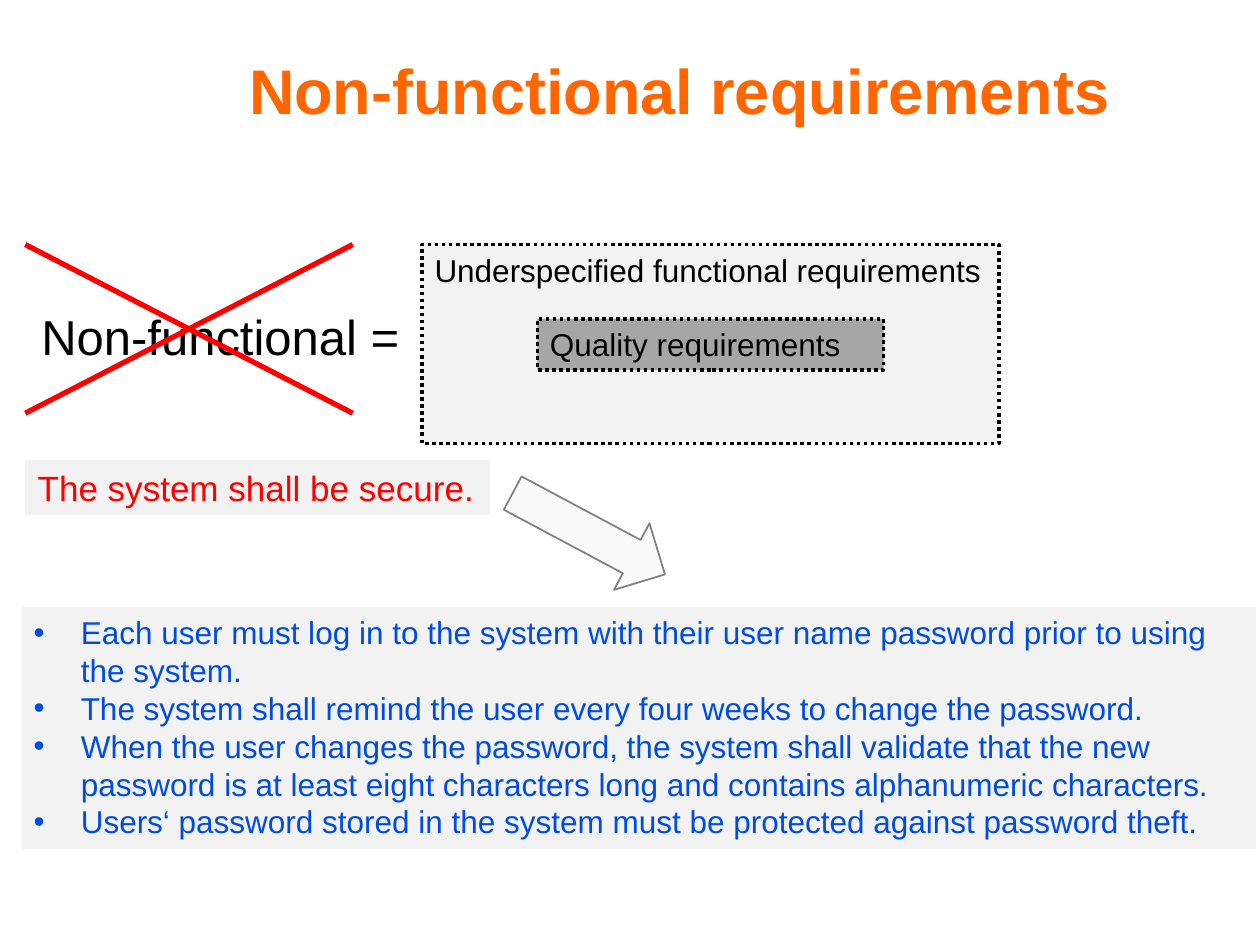
import pptx
import pptx.util
import pptx.dml.color
import pptx.enum.dml
import pptx.enum.shapes
import pptx.enum.text
import pptx.oxml.ns
from lxml import etree

Cm = pptx.util.Cm
Pt = pptx.util.Pt
qn = pptx.oxml.ns.qn
SHAPES = pptx.enum.shapes.MSO_SHAPE
ANCHOR = pptx.enum.text.MSO_ANCHOR
ALIGN = pptx.enum.text.PP_ALIGN

FONT = "Arial"
ORANGE, RED, BLUE = "FF6600", "FF0000", "004CE2"
BLACK, PALE, MID = "000000", "F2F2F2", "A6A6A6"
SECURITY_RULES = [
    "Each user must log in to the system with their user name password prior to using the system.",
    "The system shall remind the user every four weeks to change the password.",
    "When the user changes the password, the system shall validate that the new password "
    "is at least eight characters long and contains alphanumeric characters.",
    "Users‘ password stored in the system must be protected against password theft.",
]


def color(hex_string):
    return pptx.dml.color.RGBColor.from_string(hex_string)


def place(part, box):
    part.left, part.top, part.width, part.height = (Cm(v) for v in box)


def write(frame, lines, size, ink, bold=False, align=ALIGN.LEFT, anchor=ANCHOR.TOP):
    frame.text = "\n".join(lines)
    frame.word_wrap = True
    frame.auto_size = pptx.enum.text.MSO_AUTO_SIZE.NONE
    frame.vertical_anchor = anchor
    for paragraph in frame.paragraphs:
        paragraph.alignment = align
        for run in paragraph.runs:
            run.font.name, run.font.size, run.font.bold = FONT, Pt(size), bold
            run.font.color.rgb = color(ink)


def set_bullet(paragraph, indent, char=None):
    properties = paragraph._p.get_or_add_pPr()
    properties.set("marL", str(Cm(indent)))
    properties.set("indent", str(-Cm(indent)))
    if char:
        etree.SubElement(properties, qn("a:buFont")).set("typeface", FONT)
        etree.SubElement(properties, qn("a:buChar")).set("char", char)
    else:
        etree.SubElement(properties, qn("a:buNone"))


def add_panel(slide, box, fill, kind=SHAPES.RECTANGLE, line=None, width=1, dotted=False):
    panel = slide.shapes.add_shape(kind, *(Cm(v) for v in box))
    panel.shadow.inherit = False
    panel.fill.solid()
    panel.fill.fore_color.rgb = color(fill)
    if line:
        panel.line.color.rgb = color(line)
        panel.line.width = Pt(width)
        if dotted:
            panel.line.dash_style = pptx.enum.dml.MSO_LINE.ROUND_DOT
    else:
        panel.line.fill.background()
    return panel


def fill_title(slide, box):
    title = slide.shapes.title
    place(title, box)
    write(title.text_frame, ["Non-functional requirements"], 36, ORANGE,
          bold=True, align=ALIGN.CENTER, anchor=ANCHOR.MIDDLE)


def fill_term(slide, box):
    term = slide.placeholders[1]
    place(term, box)
    write(term.text_frame, ["Non-functional ="], 28, BLACK)
    term.text_frame.margin_top = Cm(1.6)
    term.text_frame.paragraphs[0].space_before = Pt(0)
    set_bullet(term.text_frame.paragraphs[0], 0)


def add_definition(slide, box):
    left, top, width, height = box
    # Quality requirements are nested in the underspecified ones
    underspecified = add_panel(slide, box, PALE, line=BLACK, width=2, dotted=True)
    write(underspecified.text_frame, ["Underspecified functional requirements"], 18, BLACK)
    quality_width = 0.6 * width
    quality_box = (left + (width - quality_width) / 2, top + 1.5, quality_width, 1.03)
    quality = add_panel(slide, quality_box, MID, line=BLACK, width=2, dotted=True)
    write(quality.text_frame, ["Quality requirements"], 18, BLACK)


def add_example(slide, box):
    left, top, width, height = box
    # Vague requirement
    vague = add_panel(slide, (left + 0.08, top, 9.37, 1.11), PALE)
    write(vague.text_frame, ["The system shall be secure."], 20, RED)
    # Arrow from the vague requirement to the precise ones
    arrow = add_panel(slide, (left + 9.7, top + 0.73, 3.48, 1.52), "FAFAFA",
                      SHAPES.RIGHT_ARROW, line="808080")
    arrow.rotation = 28.1
    # Precise requirements
    precise = add_panel(slide, (left, top + 2.97, width, height - 2.97), PALE)
    write(precise.text_frame, SECURITY_RULES, 18, BLUE)
    for paragraph in precise.text_frame.paragraphs:
        set_bullet(paragraph, 0.95, "•")


def add_cross(slide, box):
    left, top, width, height = box
    bottom = top + height
    for start, end in ((top, bottom), (bottom, top)):
        stroke = slide.shapes.add_connector(
            pptx.enum.shapes.MSO_CONNECTOR.STRAIGHT,
            Cm(left), Cm(start), Cm(left + width), Cm(end))
        stroke.line.color.rgb = color(RED)
        stroke.line.width = Pt(3)
        etree.SubElement(stroke._element.spPr, qn("a:effectLst"))


def main():
    presentation = pptx.Presentation()
    presentation.slide_width, presentation.slide_height = Cm(25.4), Cm(19.05)
    slide = presentation.slides.add_slide(presentation.slide_layouts[1])
    fill_title(slide, (2.59, 0.41, 22.22, 2.77))
    fill_term(slide, (0.58, 4.57, 24, 3.35))
    add_definition(slide, (8.51, 4.93, 11.63, 4.01))
    add_example(slide, (0.43, 9.27, 24.89, 7.85))
    add_cross(slide, (0.51, 4.93, 6.6, 3.4))
    presentation.save("out.pptx")


if __name__ == "__main__":
    main()
